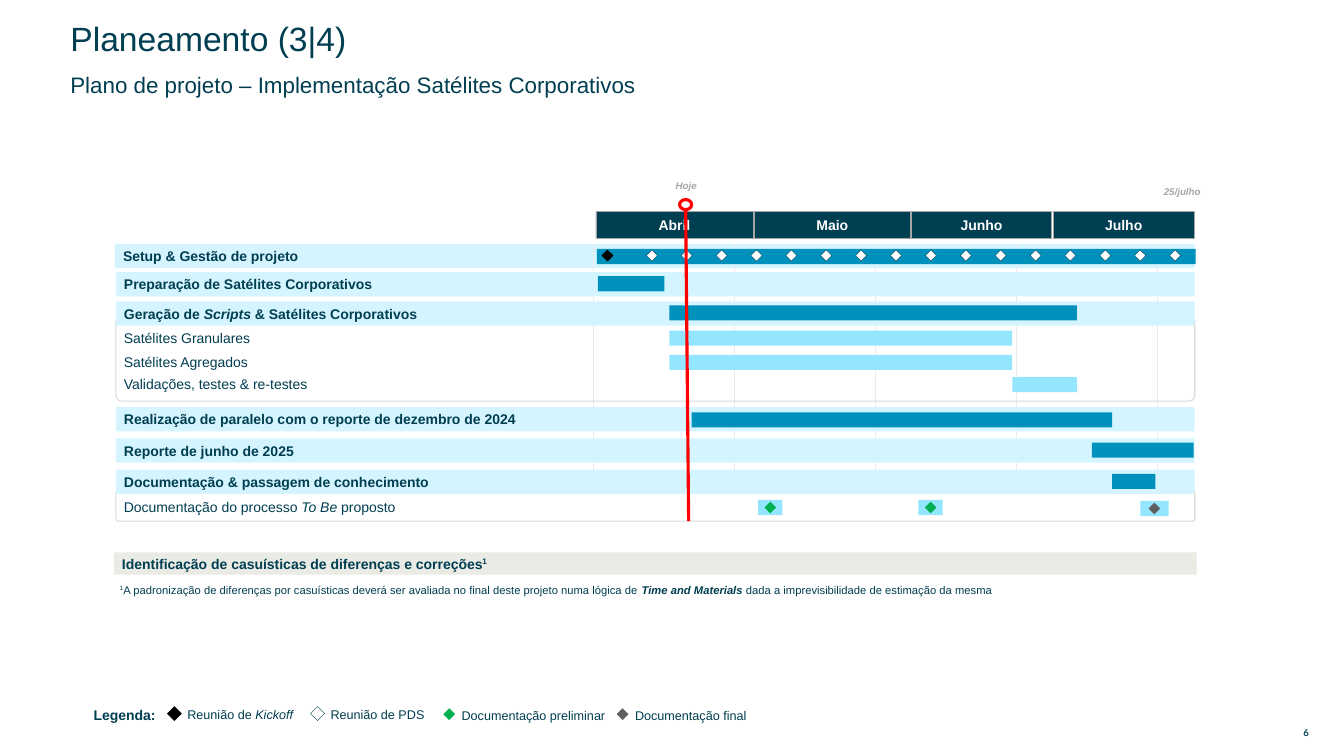
"""Build the project plan slide: a four-month Gantt chart with its legend."""
from lxml import etree
from pptx import Presentation
from pptx import util as u
from pptx.dml.color import RGBColor
from pptx.enum import shapes, text
from pptx.oxml import ns

COL = ROW = u.Inches(0.1)
NAVY = RGBColor(0x00, 0x3E, 0x51)
BLUE = RGBColor(0x00, 0x90, 0xBC)
SKY = RGBColor(0x94, 0xE6, 0xFF)
PALE = RGBColor(0xD4, 0xF5, 0xFF)
SAND = RGBColor(0xEB, 0xEB, 0xE6)
GRID = RGBColor(0xEB, 0xEB, 0xEB)
FRAME = RGBColor(0xD9, 0xD9, 0xD9)
GREY = RGBColor(0xA6, 0xA6, 0xA6)
DARK = RGBColor(0x5F, 0x5F, 0x5F)
GREEN = RGBColor(0x00, 0xB0, 0x50)
RED = RGBColor(0xFF, 0x00, 0x00)
BLACK = RGBColor(0x00, 0x00, 0x00)
WHITE = RGBColor(0xFF, 0xFF, 0xFF)
SHAPE = shapes.MSO_SHAPE
MIDDLE, TOP = text.MSO_ANCHOR.MIDDLE, text.MSO_ANCHOR.TOP
LEFT, CENTER = text.PP_ALIGN.LEFT, text.PP_ALIGN.CENTER
PLAN_LEFT, PLAN_WIDTH = 11.5, 107
BAR_HEIGHT, MARK = 1.5, 1.1

BANDS = [
    (27, [("Preparação de Satélites Corporativos", "b")]),
    (29.9, [("Geração de ", "b"), ("Scripts", "bi"), (" & Satélites Corporativos", "b")]),
    (40.4, [("Realização de paralelo com o reporte de dezembro de 2024", "b")]),
    (43.5, [("Reporte de junho de 2025", "b")]),
    (46.6, [("Documentação & passagem de conhecimento", "b")]),
]
TASKS = [
    (32.4, 2.3, [("Satélites Granulares", "")]),
    (34.8, 2.2, [("Satélites Agregados", "")]),
    (37.1, 2, [("Validações, testes & re-testes", "")]),
    (49.3, 2, [("Documentação do processo ", ""), ("To Be", "i"), (" proposto", "")]),
]
BARS = [
    (59.3, 27.4, 6.6, BLUE),
    (66.4, 30.3, 40.4, BLUE),
    (66.4, 32.8, 34, SKY),
    (66.4, 35.2, 34, SKY),
    (100.4, 37.4, 6.4, SKY),
    (68.6, 40.9, 41.7, BLUE),
    (108.3, 43.9, 10.1, BLUE),
    (110.3, 47, 4.3, BLUE),
]
MONTHS = [("Abril", 59.1, 15.6), ("Maio", 74.8, 15.5), ("Junho", 90.4, 13.9), ("Julho", 104.5, 13.9)]
DELIVERIES = [(75.2, 49.6, 2.4, GREEN), (91.1, 49.6, 2.4, GREEN), (113.1, 49.7, 2.8, DARK)]
LEGEND = [
    (16.6, 70.1, 1.4, BLACK, BLACK, 17.6, 69.5, [("Reunião de ", ""), ("Kickoff", "i")]),
    (30.8, 70.1, 1.4, WHITE, NAVY, 31.8, 69.5, [("Reunião de PDS", "")]),
    (44, 70.3, MARK, GREEN, GREEN, 44.8, 69.6, [("Documentação preliminar", "")]),
    (61.2, 70.3, MARK, DARK, DARK, 62, 69.6, [("Documentação final", "")]),
]


def box_of(col, row, width, height):
    """Turn grid columns and rows into slide lengths."""
    return [u.Emu(int(n * unit)) for n, unit in ((col, COL), (row, ROW), (width, COL), (height, ROW))]


def write(s, runs, size, color=NAVY, font="Arial", align=LEFT, anchor=MIDDLE, insets=(1, 0.5), spacing=None):
    """Write styled runs; the style letters are b, i and s for superscript."""
    tf = s.text_frame
    tf.word_wrap = True
    tf.vertical_anchor = anchor
    tf.margin_left = tf.margin_right = u.Emu(int(insets[0] * COL))
    tf.margin_top = tf.margin_bottom = u.Emu(int(insets[1] * ROW))
    p = tf.paragraphs[0]
    p.alignment = align
    p.line_spacing = spacing
    for words, style in runs:
        r = p.add_run()
        r.text = words
        r.font.name, r.font.size, r.font.color.rgb = font, u.Pt(size), color
        r.font.bold, r.font.italic = "b" in style, "i" in style
        if "s" in style:
            r.font._element.set("baseline", "30000")


def add_label(slide, box, runs, size, **options):
    """Add a text box at a grid position."""
    write(slide.shapes.add_textbox(*box_of(*box)), runs, size, **options)


def add_block(slide, kind, box, fill=None, line=None, weight=0.25):
    """Add a preset shape with optional fill and outline."""
    s = slide.shapes.add_shape(kind, *box_of(*box))
    s.shadow.inherit = False
    if fill is None:
        s.fill.background()
    else:
        s.fill.solid()
        s.fill.fore_color.rgb = fill
    if line is None:
        s.line.fill.background()
    else:
        s.line.color.rgb, s.line.width = line, u.Pt(weight)
    return s


def add_band(slide, box, runs, fill=PALE):
    """Add a full-width row heading."""
    write(add_block(slide, SHAPE.RECTANGLE, box, fill), runs, 10, insets=(0.8, 0))


def add_bar(slide, col, row, width, fill):
    """Add a time bar."""
    add_block(slide, SHAPE.RECTANGLE, (col, row, width, BAR_HEIGHT), fill)


def add_mark(slide, col, row, fill, line, size=MARK):
    """Add a milestone diamond."""
    add_block(slide, SHAPE.DIAMOND, (col, row, size, size), fill, line)


def add_frame(slide, row, height):
    """Add the outline around the tasks of a phase."""
    box = (PLAN_LEFT, row, PLAN_WIDTH, height)
    s = add_block(slide, SHAPE.ROUND_2_SAME_RECTANGLE, box, line=FRAME, weight=0.75)
    s.adjustments[0], s.adjustments[1] = 0, 0.073


def add_line(slide, start, end, color, weight):
    """Add a straight line between two grid points."""
    s = slide.shapes.add_connector(shapes.MSO_CONNECTOR.STRAIGHT, *box_of(*start, *end))
    s.line.color.rgb, s.line.width = color, u.Pt(weight)
    etree.SubElement(s._element.spPr, ns.qn("a:effectLst"))


def add_plan(slide):
    """Draw the phases, bars and month headings."""
    add_frame(slide, 48.8, 2.9)
    add_band(slide, (11.4, 24.2, 107.1, 2.4), [("Setup & Gestão de projeto", "b")])
    for i in range(5):
        col = 58.8 + 14 * i
        add_line(slide, (col, 24.2), (col, 49), GRID, 0.25)
    add_bar(slide, 59.2, 24.7, 59.4, BLUE)
    add_mark(slide, 59.7, 24.8, BLACK, BLACK)
    for week in range(16):
        add_mark(slide, 64.1 + 3.46 * week, 24.8, WHITE, NAVY)
    for month, col, width in MONTHS:
        s = add_block(slide, SHAPE.RECTANGLE, (col, 21, width, 2.6), NAVY, GREY)
        write(s, [(month, "b")], 10, color=WHITE, align=CENTER, insets=(0, 0))
    add_frame(slide, 31.8, 8)
    for row, runs in BANDS:
        add_band(slide, (PLAN_LEFT, row, PLAN_WIDTH, 2.4), runs)
    for row, height, runs in TASKS:
        add_label(slide, (11.3, row, 42.3, height), runs, 10)
    for bar in BARS:
        add_bar(slide, *bar)
    for col, row, width, color in DELIVERIES:
        add_bar(slide, col, row, width, SKY)
        add_mark(slide, col + (width - MARK) / 2, row + 0.2, color, color)


def add_dates(slide):
    """Draw the line for today and the two date labels."""
    add_line(slide, (68, 20.2), (68.3, 51.7), RED, 2.25)
    add_block(slide, SHAPE.OVAL, (67.4, 19.8, 1.2, 1), WHITE, RED, 2.25)
    for words, col, row in (("Hoje", 64.5, 17.3), ("25/julho", 113.7, 17.9)):
        add_label(slide, (col, row, 7.1, 2.3), [(words, "bi")], 7, color=GREY,
                  align=CENTER, anchor=TOP, insets=(0, 0.5))


def add_legend(slide):
    """Draw the legend along the foot of the slide."""
    add_label(slide, (8.3, 69.4, 8.3, 2.9), [("Legenda:", "b")], 10, anchor=TOP, spacing=1.1)
    for col, row, size, fill, line, text_col, text_row, runs in LEGEND:
        add_mark(slide, col, row, fill, line, size)
        add_label(slide, (text_col, text_row, 16.9, 2.7), runs, 9, anchor=TOP, spacing=1.1)


def main():
    """Build and save the slide."""
    prs = Presentation()
    prs.slide_width, prs.slide_height = u.Inches(13.33), u.Inches(7.5)
    slide = prs.slides.add_slide(prs.slide_layouts[6])
    add_label(slide, (6, 2.7, 79.5, 2.6), [("Planeamento (3|4)", "")], 24, spacing=0.9)
    add_label(slide, (6, 7.3, 76.6, 2.6),
              [("Plano de projeto – Implementação Satélites Corporativos", "")], 16, spacing=0.9)
    add_plan(slide)
    add_band(slide, (11.3, 54.8, 107.4, 2.2),
             [("Identificação de casuísticas de diferenças e correções", "b"), ("1", "bs")], SAND)
    add_label(slide, (10.9, 57.2, 108.1, 2.4), [
        ("1", "s"),
        ("A padronização de diferenças por casuísticas deverá ser avaliada no final deste projeto numa lógica de ", ""),
        ("Time and Materials ", "bi"),
        ("dada a imprevisibilidade de estimação da mesma", ""),
    ], 8, anchor=TOP, spacing=1.1)
    add_dates(slide)
    add_legend(slide)
    add_label(slide, (127.3, 71.9, 4.5, 1.6), [("6", "b")], 6.8, font="Lato", align=CENTER, insets=(0.6, 0.3))
    prs.save("out.pptx")


if __name__ == "__main__":
    main()
